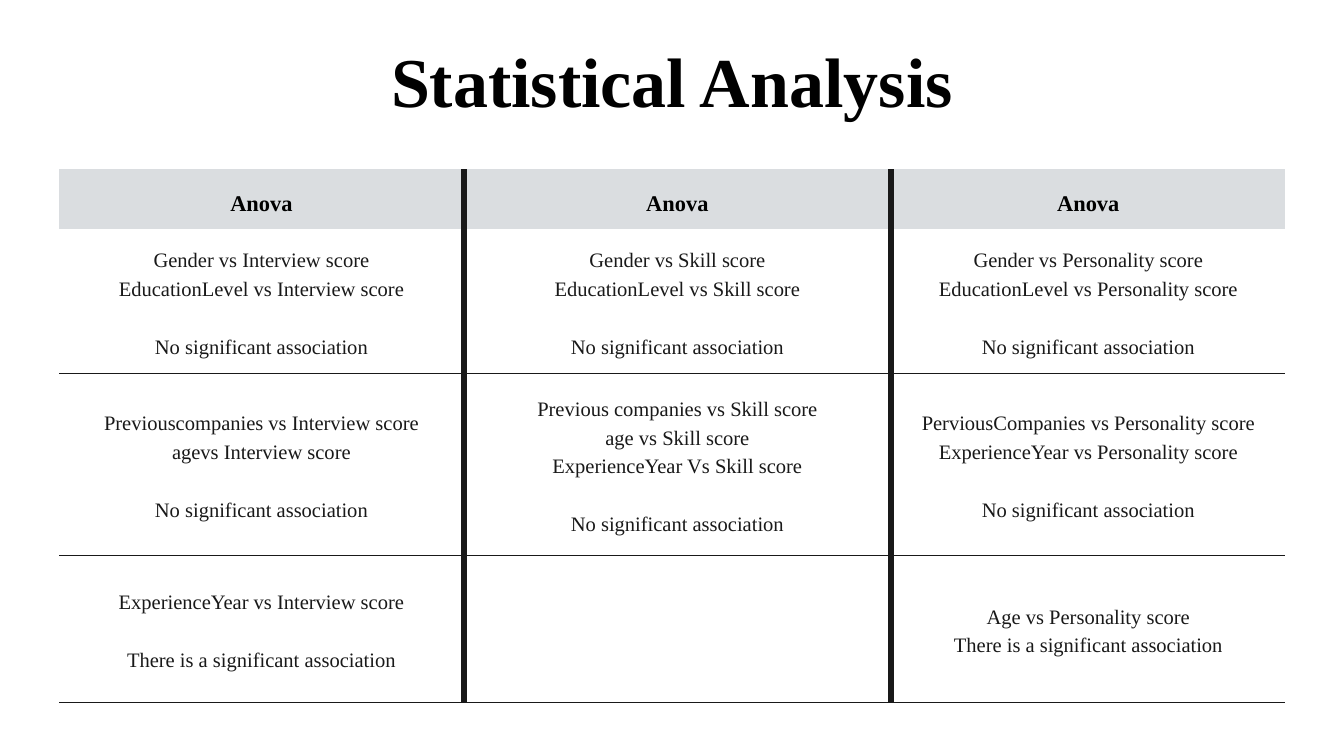
import lxml.etree
import pptx
import pptx.dml.color
import pptx.enum.text
import pptx.oxml.ns
import pptx.util

Inches = pptx.util.Inches
Pt = pptx.util.Pt
ALIGN = pptx.enum.text.PP_ALIGN
ANCHOR = pptx.enum.text.MSO_ANCHOR

FONT = "Times New Roman"
COLORS = {"heading": "000000", "body": "191919", "rule": "191919",
          "header_fill": "DADDE0", "body_fill": "FFFFFF"}
COLUMN_WIDTHS = [6.02, 6.36, 5.87]
ROW_HEIGHTS = [0.89, 2.14, 2.71, 2.19]
BODY_LEADING = 30.8
NOT_SIGNIFICANT = "No significant association"
SIGNIFICANT = "There is a significant association"
HEADINGS = ["Anova", "Anova", "Anova"]
RESULTS = [
    [(["Gender vs Interview score", "EducationLevel vs Interview score"],
      NOT_SIGNIFICANT, BODY_LEADING),
     (["Gender vs Skill score", "EducationLevel vs Skill score"],
      NOT_SIGNIFICANT, BODY_LEADING),
     (["Gender vs Personality score", "EducationLevel vs Personality score"],
      NOT_SIGNIFICANT, BODY_LEADING)],
    [(["Previouscompanies vs Interview score", "agevs Interview score"],
      NOT_SIGNIFICANT, BODY_LEADING),
     (["Previous companies vs Skill score", "age vs Skill score",
       "ExperienceYear Vs Skill score"], NOT_SIGNIFICANT, BODY_LEADING),
     (["PerviousCompanies vs Personality score",
       "ExperienceYear vs Personality score"], NOT_SIGNIFICANT, BODY_LEADING)],
    [(["ExperienceYear vs Interview score"], SIGNIFICANT, BODY_LEADING),
     None,
     (["Age vs Personality score"], SIGNIFICANT, 0)],
]


def rgb(name):
    """Return the named colour."""
    return pptx.dml.color.RGBColor.from_string(COLORS[name])


def write_line(frame, index, text, size, leading, color, bold=False, gap=0):
    """Write one centred paragraph into a text frame."""
    line = frame.add_paragraph() if index else frame.paragraphs[0]
    line.alignment = ALIGN.CENTER
    line.line_spacing = Pt(leading)
    line.space_before = Pt(gap)
    run = line.add_run()
    run.text = text
    run.font.name = FONT
    run.font.size = Pt(size)
    run.font.bold = bold
    run.font.color.rgb = rgb(color)


def add_title(slide, text):
    """Add the centred slide title."""
    title = slide.shapes.add_textbox(Inches(3.24), Inches(0.67), Inches(13.52), Inches(1.33))
    frame = title.text_frame
    frame.word_wrap = True
    frame.auto_size = pptx.enum.text.MSO_AUTO_SIZE.SHAPE_TO_FIT_TEXT
    frame.margin_left = frame.margin_right = frame.margin_top = frame.margin_bottom = 0
    write_line(frame, 0, text, 75, 82.5, "heading", bold=True)


def set_borders(cell, widths):
    """Draw cell borders from point widths keyed by side, zero meaning none."""
    qn = pptx.oxml.ns.qn
    properties = cell._tc.get_or_add_tcPr()
    for side in "LRTB":
        width = widths[side]
        border = lxml.etree.SubElement(properties, qn(f"a:ln{side}"), w=str(Pt(width)))
        if width:
            fill = lxml.etree.SubElement(border, qn("a:solidFill"))
            lxml.etree.SubElement(fill, qn("a:srgbClr"), val=COLORS["rule"])
        else:
            lxml.etree.SubElement(border, qn("a:noFill"))


def style_cell(cell, row, column):
    """Set the margins, anchor, borders and fill that a cell's place calls for."""
    cell.margin_left = cell.margin_right = Inches(0.19)
    cell.margin_top = cell.margin_bottom = Inches(0.19)
    cell.vertical_anchor = ANCHOR.MIDDLE if row else ANCHOR.BOTTOM
    set_borders(cell, {
        "L": 7.5 if column > 0 else 0,
        "R": 7.5 if column < len(COLUMN_WIDTHS) - 1 else 0,
        "T": 0.75 if row > 1 else 0,
        "B": 0.75 if row > 0 else 0,
    })
    cell.fill.solid()
    cell.fill.fore_color.rgb = rgb("body_fill" if row else "header_fill")


def write_result(cell, result):
    """Write the tests and, after a gap, their conclusion."""
    tests, conclusion, gap = result
    for index, test in enumerate(tests):
        write_line(cell.text_frame, index, test, 22, BODY_LEADING, "body")
    write_line(cell.text_frame, len(tests), conclusion, 22, BODY_LEADING, "body", gap=gap)


def add_results_table(slide):
    """Add the table of test results."""
    table = slide.shapes.add_table(
        len(ROW_HEIGHTS), len(COLUMN_WIDTHS), Inches(0.88), Inches(2.52),
        Inches(sum(COLUMN_WIDTHS)), Inches(sum(ROW_HEIGHTS))).table
    table.horz_banding = False
    for column, width in zip(table.columns, COLUMN_WIDTHS):
        column.width = Inches(width)
    for row, height in zip(table.rows, ROW_HEIGHTS):
        row.height = Inches(height)
    for row in range(len(ROW_HEIGHTS)):
        for column in range(len(COLUMN_WIDTHS)):
            style_cell(table.cell(row, column), row, column)
    for column, heading in enumerate(HEADINGS):
        write_line(table.cell(0, column).text_frame, 0, heading, 24, 33.6, "heading", bold=True)
    for row, results in enumerate(RESULTS, start=1):
        for column, result in enumerate(results):
            if result:
                write_result(table.cell(row, column), result)


def main():
    """Build and save the statistical analysis slide."""
    deck = pptx.Presentation()
    deck.slide_width = Inches(20)
    deck.slide_height = Inches(11.25)
    slide = deck.slides.add_slide(deck.slide_layouts[6])
    add_results_table(slide)
    add_title(slide, "Statistical Analysis")
    deck.save("out.pptx")


if __name__ == "__main__":
    main()
